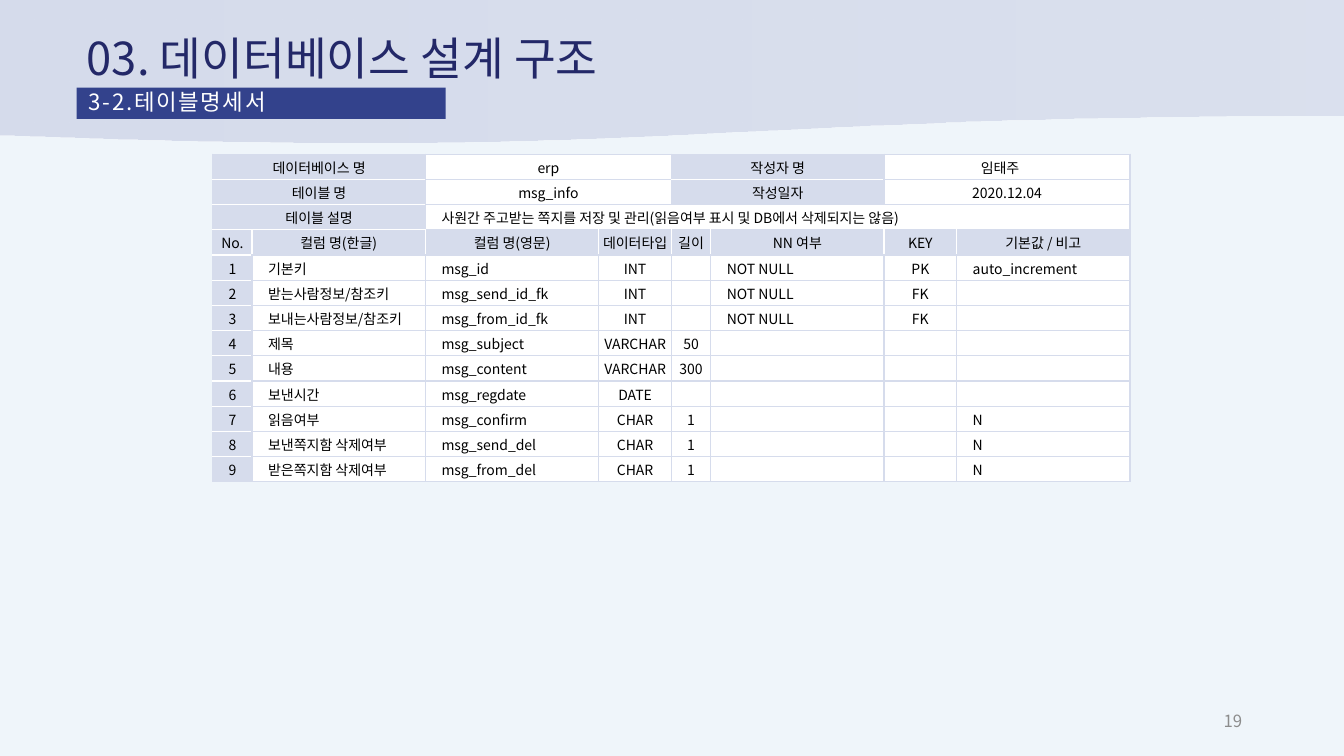
from lxml import etree
from pptx import Presentation
from pptx import util as u
from pptx.dml import color
from pptx.enum import shapes, text
from pptx.oxml import ns

HUES = {"back": "EFF5FA", "lilac": "D6DCEC", "white": "FFFFFF", "navy": "33428C",
        "title": "232868", "gray": "8C8C8C", "black": "000000"}
WIDTHS = [0.39, 1.72, 1.72, 0.72, 0.39, 1.72, 0.72, 1.72]
HEAD = 3
SPANS = {(0, 0): 2, (0, 2): 2, (0, 4): 2, (0, 6): 2,
         (1, 0): 2, (1, 2): 2, (1, 4): 2, (1, 6): 2,
         (2, 0): 2, (2, 2): 6}
ROWS = [
    ["데이터베이스 명", "", "erp", "", "작성자 명", "", "임태주　", ""],
    ["테이블 명", "", "msg_info", "", "작성일자", "", "2020.12.04", ""],
    ["테이블 설명", "", "사원간 주고받는 쪽지를 저장 및 관리(읽음여부 표시 및 DB에서 삭제되지는 않음)",
     "", "", "", "", ""],
    ["No.", "컬럼 명(한글)", "컬럼 명(영문)", "데이터타입", "길이", "NN 여부", "KEY", "기본값 / 비고"],
    ["1", "기본키", "msg_id", "INT", "", "NOT NULL", "PK", "auto_increment"],
    ["2", "받는사람정보/참조키", "msg_send_id_fk", "INT", "", "NOT NULL", "FK", ""],
    ["3", "보내는사람정보/참조키", "msg_from_id_fk", "INT", "", "NOT NULL", "FK", ""],
    ["4", "제목", "msg_subject", "VARCHAR", "50", "", "", ""],
    ["5", "내용", "msg_content", "VARCHAR", "300", "", "", ""],
    ["6", "보낸시간", "msg_regdate", "DATE", "", "", "", ""],
    ["7", "읽음여부", "msg_confirm", "CHAR", "1", "", "", "N"],
    ["8", "보낸쪽지함 삭제여부", "msg_send_del", "CHAR", "1", "", "", "N"],
    ["9", "받은쪽지함 삭제여부", "msg_from_del", "CHAR", "1", "", "", "N"],
]


def shaded(row, col):
    if not (0 <= row < len(ROWS) and 0 <= col < len(WIDTHS)):
        return False
    return (col == 0 or row == HEAD or (row < HEAD and col < 2)
            or (row < 2 and col in (4, 5)))


def indented(row, col):
    return (row, col) == (2, 2) or (row > HEAD and col in (1, 2, 5, 7))


class Deck:
    font = "Noto Sans CJK KR"

    def __init__(self):
        self.prs = Presentation()
        self.prs.slide_width, self.prs.slide_height = u.Inches(13.33), u.Inches(7.5)
        self.slide = self.prs.slides.add_slide(self.prs.slide_layouts[1])
        self.paint(self.slide.background.fill, "back")

    def hue(self, name):
        return color.RGBColor.from_string(HUES[name])

    def paint(self, fill, name):
        fill.solid()
        fill.fore_color.rgb = self.hue(name)

    def fade(self, shape, share):
        tint = list(shape._element.spPr.iter(ns.qn("a:srgbClr")))[-1]
        etree.SubElement(tint, ns.qn("a:alpha"), val=str(share * 1000))

    def label(self, para, words, size, name, gap=0):
        run = para.add_run()
        run.text = words
        run.font.size = u.Pt(size)
        run.font.name = self.font
        run.font.color.rgb = self.hue(name)
        props = run._r.get_or_add_rPr()
        etree.SubElement(props, ns.qn("a:ea"), typeface=self.font)
        if gap:
            props.set("spc", str(round(gap * 100)))

    def shape(self, kind, box):
        form = self.slide.shapes.add_shape(kind, *map(u.Inches, box))
        form.shadow.inherit = False
        form.line.fill.background()
        return form

    def wave(self, box):
        form = self.shape(shapes.MSO_SHAPE.FLOWCHART_DOCUMENT, box)
        form.fill.gradient()
        form.fill.gradient_angle = 0
        for stop in form.fill.gradient_stops:
            stop.color.rgb = self.hue("lilac")
        self.fade(form, 80)

    def patch(self, box):
        form = self.shape(shapes.MSO_SHAPE.RECTANGLE, box)
        self.paint(form.fill, "back")
        self.fade(form, 64)

    def place(self, holder, box):
        holder.left, holder.top, holder.width, holder.height = map(u.Inches, box)
        self.slide.shapes._spTree.append(holder._element)
        frame = holder.text_frame
        frame.word_wrap = True
        frame.auto_size = text.MSO_AUTO_SIZE.NONE
        frame.vertical_anchor = text.MSO_ANCHOR.MIDDLE
        return frame

    def title(self, words, box):
        para = self.place(self.slide.shapes.title, box).paragraphs[0]
        para.alignment = text.PP_ALIGN.LEFT
        self.label(para, words, 32.4, "title")

    def band(self, words, box):
        holder = self.slide.placeholders[1]
        self.paint(holder.fill, "navy")
        frame = self.place(holder, box)
        frame.margin_left = frame.margin_right = u.Inches(0.12)
        frame.margin_top, frame.margin_bottom = u.Inches(0.04), u.Inches(0.05)
        para = frame.paragraphs[0]
        props = para._p.get_or_add_pPr()
        props.set("marL", "0")
        props.set("indent", "0")
        etree.SubElement(props, ns.qn("a:buNone"))
        para.alignment = text.PP_ALIGN.JUSTIFY
        para.line_spacing = 0.9
        para.space_before = u.Pt(0)
        self.label(para, words, 16, "white", 1.2)

    def number(self, words, box):
        frame = self.slide.shapes.add_textbox(*map(u.Inches, box)).text_frame
        frame.word_wrap = True
        frame.vertical_anchor = text.MSO_ANCHOR.MIDDLE
        para = frame.paragraphs[0]
        para.alignment = text.PP_ALIGN.RIGHT
        self.label(para, words, 12, "gray")

    def edge(self, cell, row, col):
        props = cell._tc.get_or_add_tcPr()
        sides = {"L": (row, col - 1), "R": (row, col + SPANS.get((row, col), 1)),
                 "T": (row - 1, col), "B": (row + 1, col)}
        for side, near in sides.items():
            both = shaded(row, col) and shaded(*near)
            line = etree.SubElement(props, ns.qn("a:ln" + side), w=str(u.Pt(1)))
            fill = etree.SubElement(line, ns.qn("a:solidFill"))
            etree.SubElement(fill, ns.qn("a:srgbClr"), val=HUES["white" if both else "lilac"])

    def cell(self, cell, row, col):
        inset = indented(row, col)
        cell.margin_left = u.Inches(0.16 if inset else 0.01)
        cell.margin_right = cell.margin_top = u.Inches(0.01)
        cell.margin_bottom = 0
        cell.vertical_anchor = text.MSO_ANCHOR.MIDDLE
        self.edge(cell, row, col)
        self.paint(cell.fill, "lilac" if shaded(row, col) else "white")
        para = cell.text_frame.paragraphs[0]
        para.alignment = text.PP_ALIGN.LEFT if inset else text.PP_ALIGN.CENTER
        if ROWS[row][col]:
            self.label(para, ROWS[row][col], 10, "black")
        else:
            etree.SubElement(para._p, ns.qn("a:endParaRPr"), sz="1000")

    def table(self, left, top, high):
        area = map(u.Inches, (left, top, sum(WIDTHS), high * len(ROWS)))
        grid = self.slide.shapes.add_table(len(ROWS), len(WIDTHS), *area).table
        grid.first_row = grid.horz_banding = False
        for col, wide in zip(grid.columns, WIDTHS):
            col.width = u.Inches(wide)
        for (row, col), span in SPANS.items():
            grid.cell(row, col).merge(grid.cell(row, col + span - 1))
        for row in range(len(ROWS)):
            grid.rows[row].height = u.Inches(high)
            for col in range(len(WIDTHS)):
                self.cell(grid.cell(row, col), row, col)


def main():
    deck = Deck()
    deck.wave((0, 0, 13.33, 1.43))
    deck.patch((0, 6.73, 3, 0.77))
    deck.number("19", (9.42, 6.95, 3, 0.4))
    deck.table(2.11, 1.53, 0.25)
    deck.title("03. 데이터베이스 설계 구조", (0.76, 0.28, 8.55, 0.58))
    deck.band("3-2.테이블명세서", (0.76, 0.87, 3.66, 0.31))
    deck.prs.save("out.pptx")


if __name__ == "__main__":
    main()
